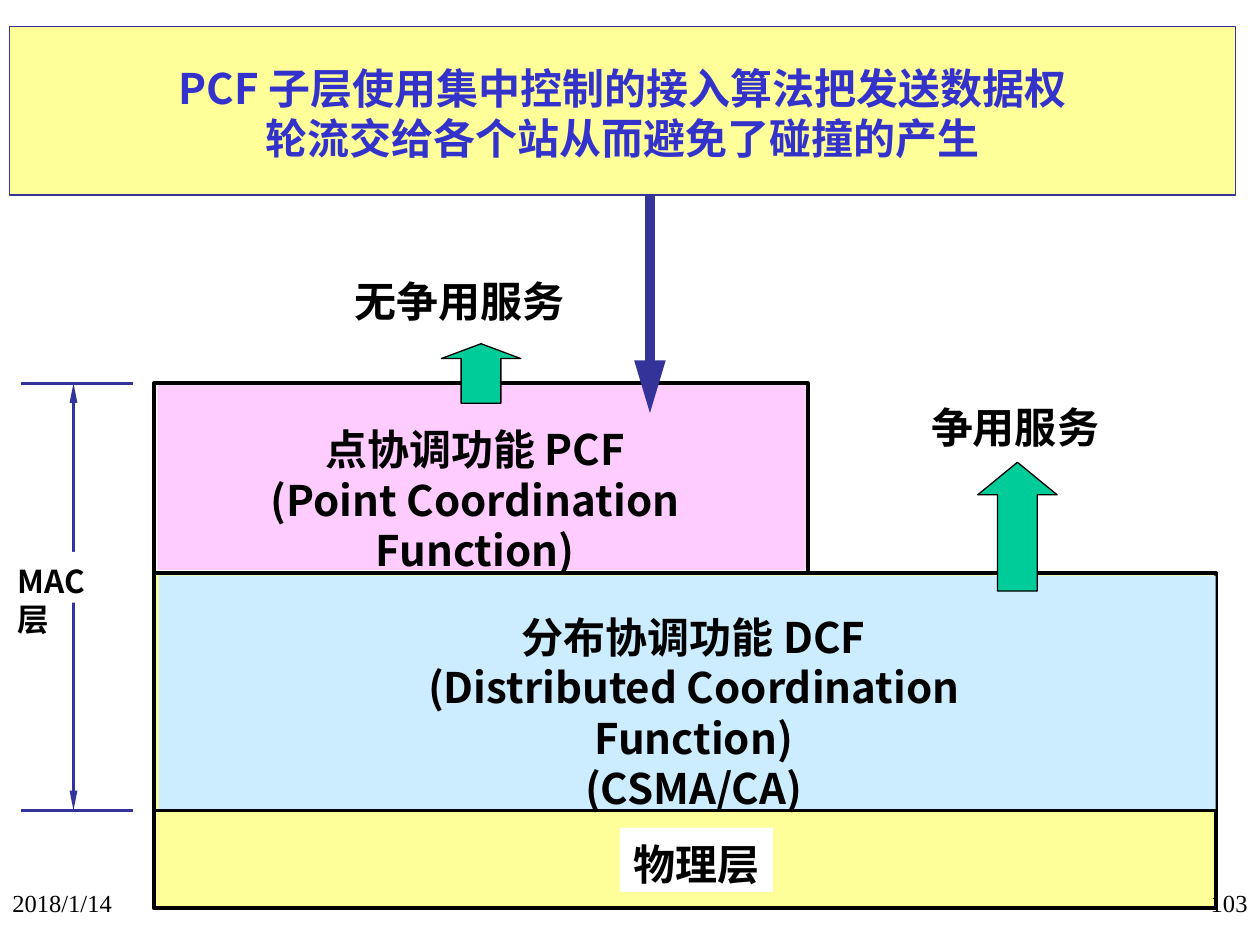
from lxml import etree
from pptx import Presentation
from pptx.dml.color import RGBColor
from pptx.enum.shapes import MSO_CONNECTOR, MSO_SHAPE
from pptx.enum.text import MSO_ANCHOR, PP_ALIGN
from pptx.oxml.ns import qn
from pptx.util import Pt

RECTANGLE, UP_ARROW = MSO_SHAPE.RECTANGLE, MSO_SHAPE.UP_ARROW
STRAIGHT = MSO_CONNECTOR.STRAIGHT
LEFT, CENTER, RIGHT = PP_ALIGN.LEFT, PP_ALIGN.CENTER, PP_ALIGN.RIGHT
TOP, MIDDLE = MSO_ANCHOR.TOP, MSO_ANCHOR.MIDDLE

BLACK = RGBColor(0x00, 0x00, 0x00)
WHITE = RGBColor(0xFF, 0xFF, 0xFF)
YELLOW = RGBColor(0xFF, 0xFF, 0x99)
PINK = RGBColor(0xFF, 0xCC, 0xFF)
PALE_BLUE = RGBColor(0xCC, 0xEC, 0xFF)
GREEN = RGBColor(0x00, 0xCC, 0x99)
NAVY = RGBColor(0x33, 0x33, 0x99)
TITLE_BLUE = RGBColor(0x33, 0x33, 0xCC)

HEADING = {"name": "Noto Sans CJK JP", "size": Pt(24), "bold": True}
SMALL_HEADING = HEADING | {"size": Pt(18)}
TITLE = HEADING | {"name": "Noto Sans CJK SC"}
FOOTER = {"name": "Times New Roman", "size": Pt(14), "bold": False}

MAC_TOP, MAC_BOTTOM = 219, 463
STACK_LEFT, STACK_RIGHT = 88, 694.8


def add_block(slide, box, fill=None, line=None, width=2.25, kind=RECTANGLE):
    shape = slide.shapes.add_shape(kind, *map(Pt, box))
    shape.shadow.inherit = False
    if fill is None:
        shape.fill.background()
    else:
        shape.fill.solid()
        shape.fill.fore_color.rgb = fill
    if line is None:
        shape.line.fill.background()
    else:
        shape.line.color.rgb = line
        shape.line.width = Pt(width)
    return shape


def add_up_arrow(slide, box, head_ratio):
    arrow = add_block(slide, box, GREEN, BLACK, 0.75, UP_ARROW)
    arrow.adjustments[0] = 0.5
    arrow.adjustments[1] = head_ratio


def add_line(slide, start, end, color, width, heads=(), head_width="med"):
    connector = slide.shapes.add_connector(STRAIGHT, *map(Pt, start + end))
    connector.line.color.rgb = color
    connector.line.width = Pt(width)
    for head in heads:
        etree.SubElement(connector.line._ln, qn(f"a:{head}"),
                         type="triangle", w=head_width, len="lg")
    etree.SubElement(connector._element.spPr, qn("a:effectLst"))


def write_text(shape, lines, style, align=CENTER, color=BLACK,
               anchor=TOP, right_margin=7.2):
    frame = shape.text_frame
    frame.word_wrap = True
    frame.vertical_anchor = anchor
    frame.margin_right = Pt(right_margin)
    if style is not FOOTER:
        frame.margin_top = Pt(6)
    frame.text = "\n".join(lines)
    for paragraph in frame.paragraphs:
        paragraph.alignment = align
        if style is not FOOTER:
            paragraph.line_spacing = Pt(style["size"].pt * 1.2)
        for run in paragraph.runs:
            for name, value in style.items():
                setattr(run.font, name, value)
            run.font.color.rgb = color
            etree.SubElement(run._r.get_or_add_rPr(), qn("a:ea"),
                             typeface=style["name"])


def add_label(slide, box, lines, style=HEADING, align=CENTER):
    write_text(slide.shapes.add_textbox(*map(Pt, box)), lines, style, align)


def add_mac_span(slide):
    add_line(slide, (42, MAC_TOP), (42, MAC_BOTTOM), NAVY, 2.25,
             ("headEnd", "tailEnd"), "sm")
    mac_label = add_block(slide, (3, 315.4, 78.5, 29), WHITE)
    write_text(mac_label, ["MAC 层"], SMALL_HEADING, LEFT, right_margin=18)
    for y in (MAC_TOP, MAC_BOTTOM):
        add_line(slide, (12.2, y), (76.3, y), NAVY, 1.5)


def add_layers(slide):
    add_block(slide, (STACK_LEFT, 327.6, 607, 191.5), YELLOW, BLACK)
    add_block(slide, (90.7, 329, 604, 134), PALE_BLUE)
    add_block(slide, (90, MAC_TOP, 371.5, 106.6), PINK)
    add_label(slide, (200.9, 343.4, 391, 94.3),
              ["分布协调功能 DCF", "(Distributed Coordination Function)",
               "(CSMA/CA)"])
    add_label(slide, (104.4, 236.2, 334, 65.5),
              ["点协调功能 PCF", "(Point Coordination Function)"])
    add_block(slide, (STACK_LEFT, MAC_TOP, 373.7, 108.7), line=BLACK)
    physical_label = add_block(slide, (354.2, 473, 87.5, 36.7), WHITE)
    write_text(physical_label, ["物理层"], HEADING)
    add_line(slide, (STACK_LEFT, MAC_BOTTOM), (STACK_RIGHT, MAC_BOTTOM),
             BLACK, 1.5)


def add_services(slide):
    add_label(slide, (195.8, 151.2, 158.4, 36.7), ["无争用服务"], align=LEFT)
    add_label(slide, (524.2, 223.2, 111.6, 36.7), ["争用服务"])
    add_up_arrow(slide, (558.7, 264.2, 45.4, 73.6), 0.41)
    add_up_arrow(slide, (252.2, 196.4, 45.4, 34), 0.25)


def add_title(slide):
    title = add_block(slide, (5.6, 15, 700.6, 96.4), YELLOW, NAVY, 0.75)
    write_text(title, ["PCF 子层使用集中控制的接入算法把发送数据权\v"
                       "轮流交给各个站从而避免了碰撞的产生"],
               TITLE, color=TITLE_BLUE, anchor=MIDDLE)
    add_line(slide, (371.4, 111.5), (371.4, 236), NAVY, 6, ("tailEnd",))


def main():
    presentation = Presentation()
    presentation.slide_width, presentation.slide_height = Pt(720), Pt(540)
    slide = presentation.slides.add_slide(presentation.slide_layouts[6])
    add_mac_span(slide)
    add_layers(slide)
    add_services(slide)
    add_title(slide)
    add_label(slide, (0, 504, 150, 36), ["2018/1/14"], FOOTER, LEFT)
    add_label(slide, (570, 504, 150, 36), ["103"], FOOTER, RIGHT)
    presentation.save("out.pptx")


if __name__ == "__main__":
    main()
